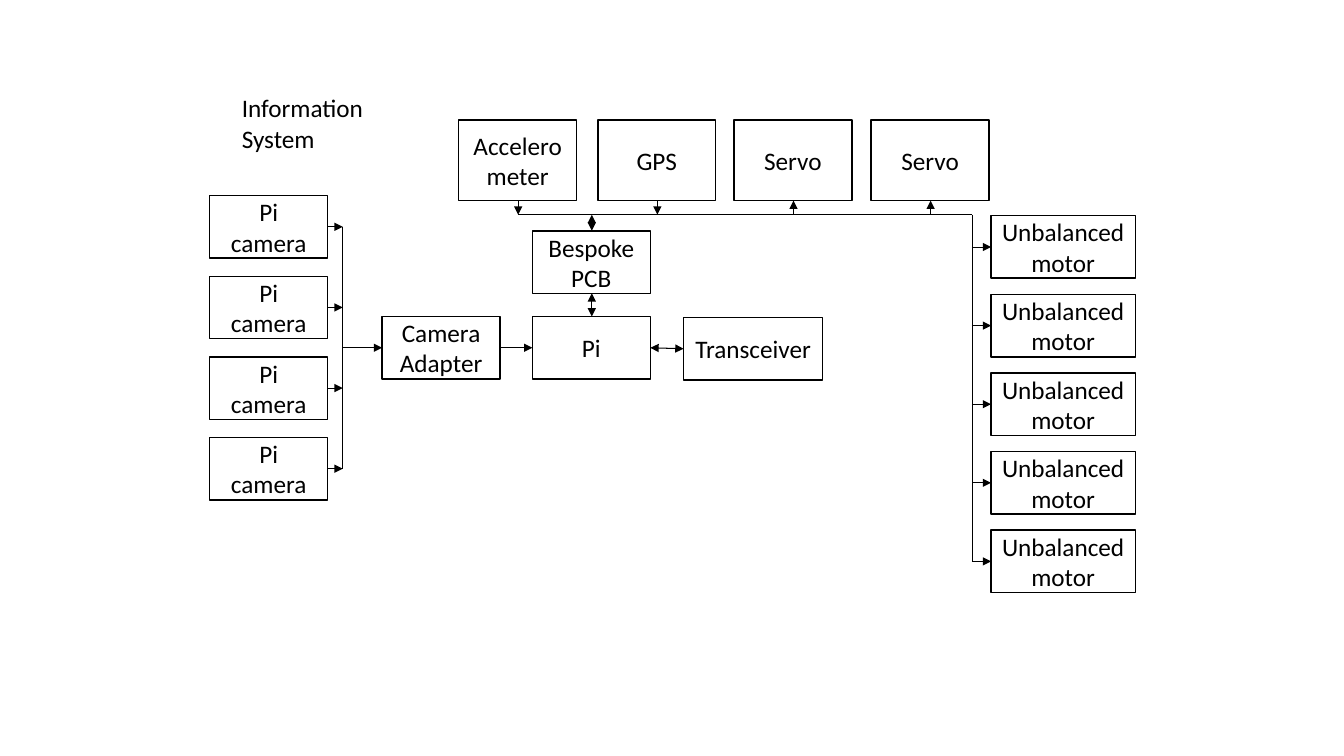
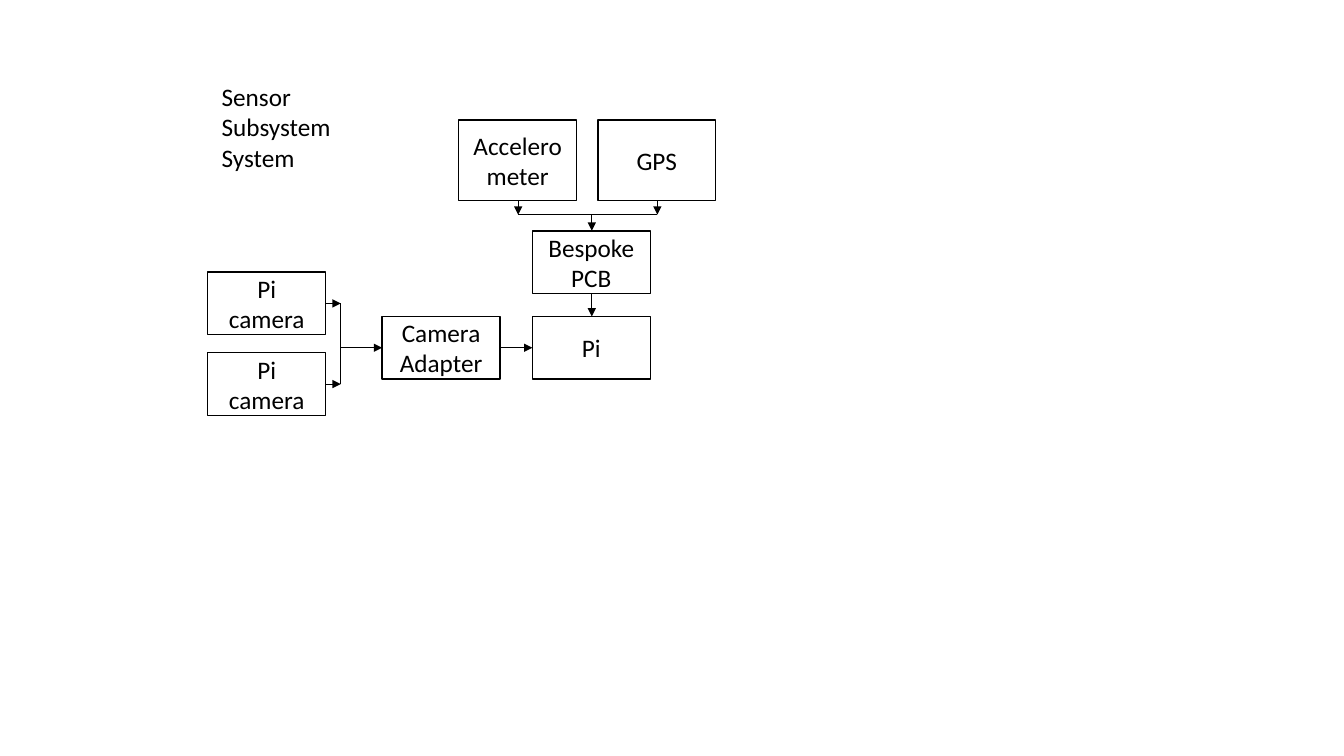
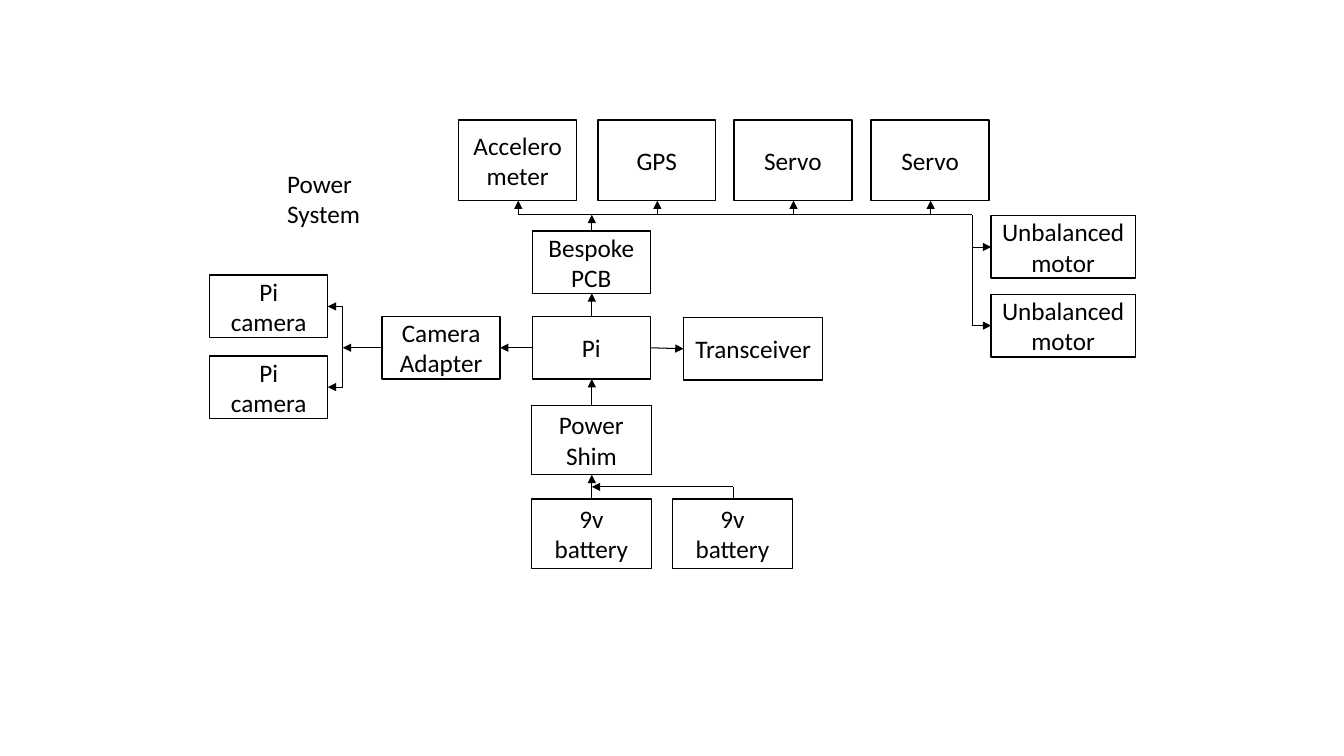
from dataclasses import dataclass
from typing import Any, NamedTuple

from lxml.etree import SubElement
from pptx import Presentation
from pptx.dml.color import RGBColor
from pptx.enum.shapes import MSO_CONNECTOR, MSO_SHAPE
from pptx.enum.text import MSO_ANCHOR, MSO_AUTO_SIZE, PP_ALIGN
from pptx.oxml.ns import qn
from pptx.util import Emu, Pt

EMU_PER_PX = 9144
SLIDE_WIDTH, SLIDE_HEIGHT = 1333, 750
BOX_WIDTH, BOX_HEIGHT = 117, 62
CAMERA_PITCH, CAMERA_STUB = 80, 15
SENSOR_TOP, SENSOR_HEIGHT = 119, 80
SENSOR_LEFTS = {"Accelerometer": [455], "GPS": [593], "Servo": [728, 864]}
BUS_TOP, MOTOR_BUS_LEFT = 213, 964
MOTOR_LEFT, MOTOR_TOP, MOTOR_WIDTH, MOTOR_PITCH = 983, 214, 143, 78
CORE_LEFT, CORE_TOP = 528, 314
BATTERY_WIDTH, BATTERY_HEIGHT = 119, 69
TO_END, TO_START, BOTH, PLAIN = ("tailEnd",), ("headEnd",), ("headEnd", "tailEnd"), ()


@dataclass(frozen=True)
class Theme:
    """Colours, font and sizes shared by all slides."""

    ink: RGBColor = RGBColor(0, 0, 0)
    paper: RGBColor = RGBColor(255, 255, 255)
    font: str = "Calibri"
    text_size: int = 18
    box_line: float = 1
    link_line: float = 0.5
    radio_line: float = 0.75


class Frame(NamedTuple):
    """The edges of a box in px."""

    left: int
    top: int
    width: int
    height: int

    @property
    def right(self):
        """Return the right edge."""
        return self.left + self.width

    @property
    def bottom(self):
        """Return the bottom edge."""
        return self.top + self.height

    @property
    def centre(self):
        """Return the horizontal centre."""
        return self.left + (self.width + 1) // 2

    @property
    def middle(self):
        """Return the vertical centre."""
        return self.top + self.height // 2


def px(*lengths):
    """Turn px lengths into EMU."""
    return [Emu(length * EMU_PER_PX) for length in lengths]


def set_format(target, values):
    """Set each format value on the target."""
    for name, value in values.items():
        setattr(target, name, value)


@dataclass
class Diagram:
    """Draws block diagrams on the current slide."""

    presentation: Any
    theme: Theme
    slide: Any = None

    def new_slide(self):
        """Start a blank slide."""
        self.slide = self.presentation.slides.add_slide(self.presentation.slide_layouts[6])

    def label(self, shape, text, frame_format, alignment):
        """Put one styled paragraph into a shape."""
        set_format(shape.text_frame, {"word_wrap": True, **frame_format})
        paragraph = shape.text_frame.paragraphs[0]
        set_format(paragraph, {"text": text, "alignment": alignment})
        font = paragraph.runs[0].font
        set_format(font, {"name": self.theme.font, "size": Pt(self.theme.text_size)})
        font.color.rgb = self.theme.ink

    def title(self, text, left, top, height):
        """Add the diagram's title."""
        shape = self.slide.shapes.add_textbox(*px(left, top, 150, height))
        self.label(shape, text, {"auto_size": MSO_AUTO_SIZE.SHAPE_TO_FIT_TEXT}, PP_ALIGN.LEFT)

    def box(self, text, left, top, width=BOX_WIDTH, height=BOX_HEIGHT):
        """Add a labelled box and return its frame."""
        frame = Frame(left, top, width, height)
        shape = self.slide.shapes.add_shape(MSO_SHAPE.RECTANGLE, *px(*frame))
        shape.shadow.inherit = False
        shape.fill.solid()
        shape.fill.fore_color.rgb = self.theme.paper
        shape.line.color.rgb = self.theme.ink
        shape.line.width = Pt(self.theme.box_line)
        self.label(shape, text, {"vertical_anchor": MSO_ANCHOR.MIDDLE}, PP_ALIGN.CENTER)
        return frame

    def link(self, start, end, arrows=PLAIN, weight=None):
        """Add a line with arrowheads at the given ends."""
        connector = self.slide.shapes.add_connector(MSO_CONNECTOR.STRAIGHT, *px(*start, *end))
        connector.line.color.rgb = self.theme.ink
        connector.line.width = Pt(weight or self.theme.link_line)
        properties = connector._element.spPr
        for arrow in arrows:
            SubElement(properties.find(qn("a:ln")), qn(f"a:{arrow}"), type="triangle")
        SubElement(properties, qn("a:effectLst"))

    def cameras(self, left, top, count, adapter, arrows):
        """Add the column of cameras and its bus to the adapter."""
        bus = left + BOX_WIDTH + CAMERA_STUB
        frames = [self.box("Pi camera", left, top + row * CAMERA_PITCH) for row in range(count)]
        for frame in frames:
            self.link((frame.right, frame.middle), (bus, frame.middle), arrows)
        self.link((bus, frames[0].middle), (bus, frames[-1].middle))
        self.link((bus, adapter.middle), (adapter.left, adapter.middle), arrows)

    def core(self, camera_arrows, board_arrows):
        """Add adapter, computer and board, and return the first two frames."""
        adapter = self.box("Camera Adapter", 379, CORE_TOP)
        computer = self.box("Pi", CORE_LEFT, CORE_TOP)
        board = self.box("Bespoke PCB", CORE_LEFT, 229)
        self.link((adapter.right, adapter.middle), (computer.left, computer.middle), camera_arrows)
        self.link((board.centre, board.bottom), (board.centre, computer.top), board_arrows)
        self.link((board.centre, BUS_TOP), (board.centre, board.top), board_arrows)
        return adapter, computer

    def top_row(self, arrows_by_name):
        """Add the devices above the bus and return their frames."""
        frames = []
        for name, arrows in arrows_by_name.items():
            for left in SENSOR_LEFTS[name]:
                frame = self.box(name, left, SENSOR_TOP, height=SENSOR_HEIGHT)
                self.link((frame.centre, frame.bottom), (frame.centre, BUS_TOP), arrows)
                frames.append(frame)
        return frames

    def bus(self, start, end):
        """Add the horizontal bus."""
        self.link((start, BUS_TOP), (end, BUS_TOP))

    def motors(self, count):
        """Add the column of motors and its vertical bus."""
        for row in range(count):
            frame = self.box("Unbalanced motor", MOTOR_LEFT, MOTOR_TOP + row * MOTOR_PITCH, MOTOR_WIDTH)
            self.link((MOTOR_BUS_LEFT, frame.middle), (frame.left, frame.middle), TO_END)
        self.link((MOTOR_BUS_LEFT, BUS_TOP), (MOTOR_BUS_LEFT, frame.middle))

    def transceiver(self, computer, arrows):
        """Add the transceiver beside the computer."""
        frame = self.box("Transceiver", 678, CORE_TOP + 1, 138)
        self.link((computer.right, computer.middle), (frame.left, frame.middle),
                  arrows, self.theme.radio_line)

    def power_supply(self, computer):
        """Add the batteries and the shim that feed the computer."""
        size = BATTERY_WIDTH, BATTERY_HEIGHT
        shim = self.box("Power Shim", 527, 402, *size)
        first, second = [self.box("9v battery", left, 495, *size) for left in (527, 667)]
        joint = 483
        self.link((first.centre, first.top), (first.centre, shim.bottom), TO_END)
        self.link((shim.centre, shim.top), (shim.centre, computer.bottom), TO_END)
        self.link((second.centre, second.top), (second.centre, joint))
        self.link((second.centre, joint), (first.centre, joint), TO_END)


def information_system(diagram):
    """Draw the information flow."""
    diagram.new_slide()
    diagram.title("Information System", 230, 87, 71)
    adapter, computer = diagram.core(TO_END, BOTH)
    diagram.cameras(208, 194, 4, adapter, TO_END)
    devices = diagram.top_row({"Accelerometer": TO_END, "GPS": TO_END, "Servo": TO_START})
    diagram.bus(devices[0].centre, MOTOR_BUS_LEFT)
    diagram.motors(5)
    diagram.transceiver(computer, BOTH)


def sensor_subsystem(diagram):
    """Draw the sensor flow."""
    diagram.new_slide()
    diagram.title("Sensor Subsystem System", 210, 76, 101)
    adapter, _ = diagram.core(TO_END, TO_END)
    diagram.cameras(206, 270, 2, adapter, TO_END)
    devices = diagram.top_row({"Accelerometer": TO_END, "GPS": TO_END})
    diagram.bus(devices[0].centre, devices[-1].centre)


def power_system(diagram):
    """Draw the power flow."""
    diagram.new_slide()
    diagram.title("Power System", 275, 162, 71)
    adapter, computer = diagram.core(TO_START, TO_START)
    diagram.cameras(208, 273, 2, adapter, TO_START)
    devices = diagram.top_row(dict.fromkeys(SENSOR_LEFTS, TO_START))
    diagram.bus(devices[0].centre, MOTOR_BUS_LEFT)
    diagram.motors(2)
    diagram.transceiver(computer, TO_END)
    diagram.power_supply(computer)


def main():
    """Build and save the presentation."""
    presentation = Presentation()
    width, height = px(SLIDE_WIDTH, SLIDE_HEIGHT)
    set_format(presentation, {"slide_width": width, "slide_height": height})
    diagram = Diagram(presentation, Theme())
    for draw in (information_system, sensor_subsystem, power_system):
        draw(diagram)
    presentation.save("out.pptx")


if __name__ == "__main__":
    main()
